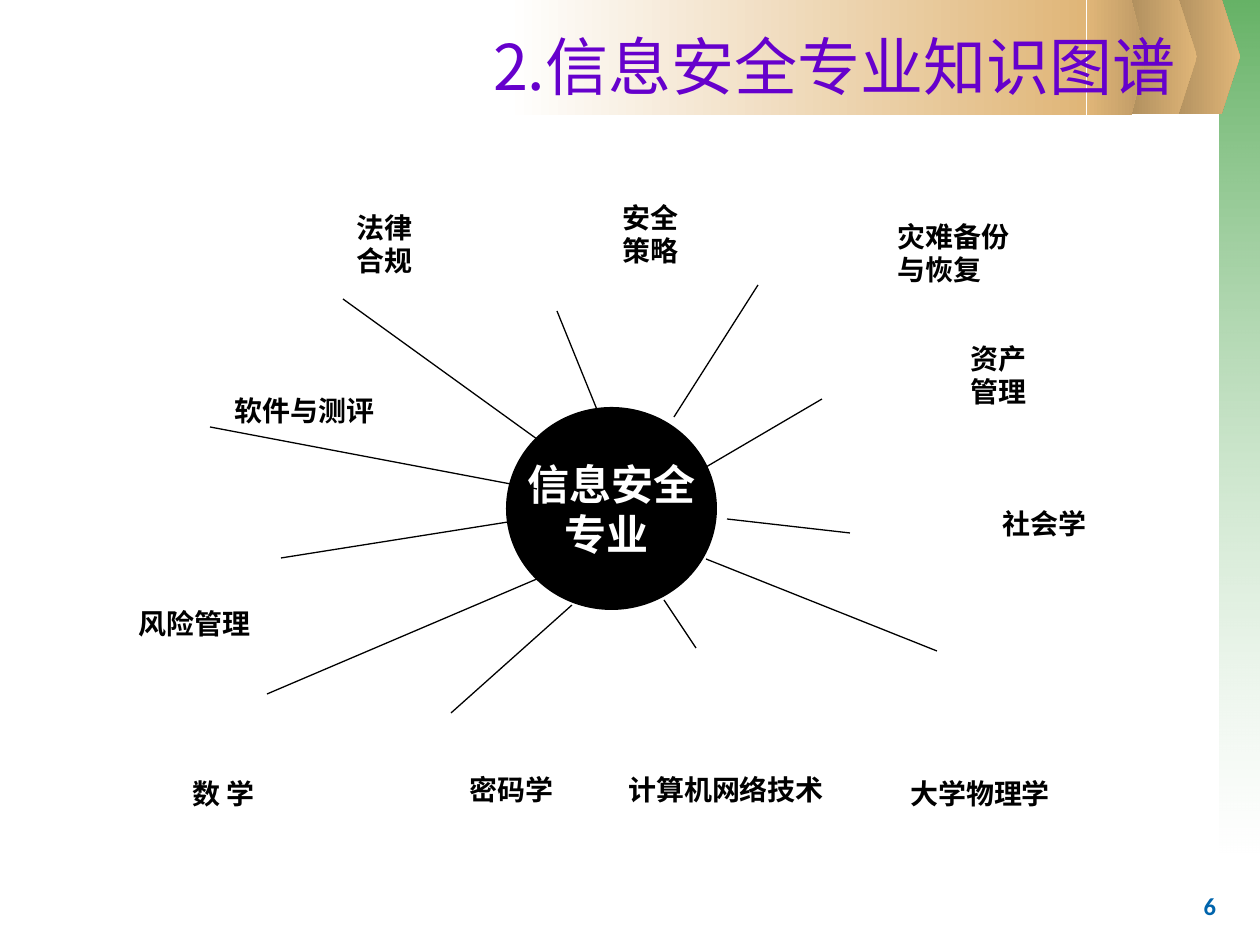
from lxml import etree
from pptx import Presentation
from pptx.dml.color import RGBColor
from pptx.enum.shapes import MSO_CONNECTOR, MSO_SHAPE
from pptx.enum.text import MSO_ANCHOR, PP_ALIGN
from pptx.oxml.ns import qn
from pptx.util import Emu, Pt

RECTANGLE, PENTAGON, OVAL = MSO_SHAPE.RECTANGLE, MSO_SHAPE.PENTAGON, MSO_SHAPE.OVAL
STRAIGHT = MSO_CONNECTOR.STRAIGHT
LEFT, CENTER, RIGHT = PP_ALIGN.LEFT, PP_ALIGN.CENTER, PP_ALIGN.RIGHT
PX = 914400 / 126


def px(*lengths):
    return [Emu(round(length * PX)) for length in lengths]


def write(shape, text, size, font_name, color, bold, align):
    frame = shape.text_frame
    frame.text = text
    for paragraph in frame.paragraphs:
        paragraph.alignment = align
        for run in paragraph.runs:
            run.font.size = Pt(size)
            run.font.bold = bold
            run.font.name = font_name
            run.font.color.rgb = RGBColor.from_string(color)
            east_asian = etree.SubElement(run.font._element, qn("a:ea"))
            east_asian.set("typeface", "Calibri")


presentation = Presentation()
presentation.slide_width, presentation.slide_height = px(1260, 945)
slide = presentation.slides.add_slide(presentation.slide_layouts[6])
shapes = slide.shapes

# Background bands: kind, box, gradient colours, angle, opacities
bands = [
    (RECTANGLE, (1220, 0, 40, 853), ("339933", "FFFFFF"), 270, (75, 37)),
    (PENTAGON, (1166, -1, 74, 115), ("AB8B5C", "E0B678"), 0, None),
    (PENTAGON, (1123, -1, 74, 115), ("AB8B5C", "E0B678"), 0, None),
    (RECTANGLE, (507, 0, 579, 115), ("FFFFFF", "E0B678"), 0, None),
    (PENTAGON, (1087, 0, 59, 115), ("E0B678", "BD9965"), 0, None),
]
for kind, box, colors, angle, opacities in bands:
    band = shapes.add_shape(kind, *px(*box))
    band.shadow.inherit = False
    band.line.fill.background()
    if kind == PENTAGON:
        band.adjustments[0] = 0.25
    band.fill.gradient()
    band.fill.gradient_angle = angle
    for index, stop in enumerate(band.fill.gradient_stops):
        stop.position = index
        stop.color.rgb = RGBColor.from_string(colors[index])
    if opacities:
        for color, opacity in zip(band._element.spPr.iter(qn("a:srgbClr")), opacities):
            etree.SubElement(color, qn("a:alpha")).set("val", str(opacity * 1000))

page_number = shapes.add_textbox(*px(1160, 885, 100, 34))
write(page_number, "6", 14, "Calibri", "0064AC", True, CENTER)

title = shapes.add_textbox(*px(39, 21, 1149, 90))
title.text_frame.word_wrap = True
write(title, "2.信息安全专业知识图谱", 36, "Noto Sans CJK JP", "6600CC", False, RIGHT)

hub = shapes.add_shape(OVAL, *px(506, 407, 211, 203))
hub.shadow.inherit = False
hub.fill.solid()
hub.fill.fore_color.rgb = RGBColor.from_string("000000")
hub.line.fill.background()
hub.text_frame.word_wrap = False
hub.text_frame.vertical_anchor = MSO_ANCHOR.MIDDLE
write(hub, "信息安全\n专业 ", 24, "Arial", "FFFFFF", True, CENTER)

# Subjects around the hub: text, box, alignment
subjects = [
    ("社会学", (990, 500, 122, 47), LEFT),
    ("大学物理学", (898, 770, 185, 47), LEFT),
    ("风险管理", (126, 600, 166, 47), LEFT),
    ("安全策略", (610, 194, 106, 81), LEFT),
    ("法律合规", (344, 204, 106, 81), LEFT),
    ("数 学", (180, 770, 101, 47), LEFT),
    ("灾难备份与恢复", (885, 213, 144, 81), LEFT),
    ("资产管理", (958, 335, 106, 79), LEFT),
    ("软件与测评", (210, 387, 189, 47), CENTER),
    ("密码学", (451, 766, 121, 47), CENTER),
    ("计算机网络技术", (616, 766, 236, 47), LEFT),
]
for text, box, align in subjects:
    label = shapes.add_textbox(*px(*box))
    label.text_frame.word_wrap = True
    write(label, text, 16, "Arial", "000000", True, align)

spokes = [
    (557, 311, 600, 417), (758, 285, 674, 417), (822, 399, 706, 467),
    (727, 519, 850, 533), (706, 559, 937, 651), (664, 600, 696, 648),
    (572, 605, 451, 713), (558, 570, 267, 694), (527, 519, 281, 558),
    (210, 427, 537, 489), (343, 299, 548, 447),
]
for ends in spokes:
    spoke = shapes.add_connector(STRAIGHT, *px(*ends))
    spoke.line.width = Pt(0.75)
    spoke.line.color.rgb = RGBColor.from_string("000000")
    etree.SubElement(spoke._element.spPr, qn("a:effectLst"))

presentation.save("out.pptx")
